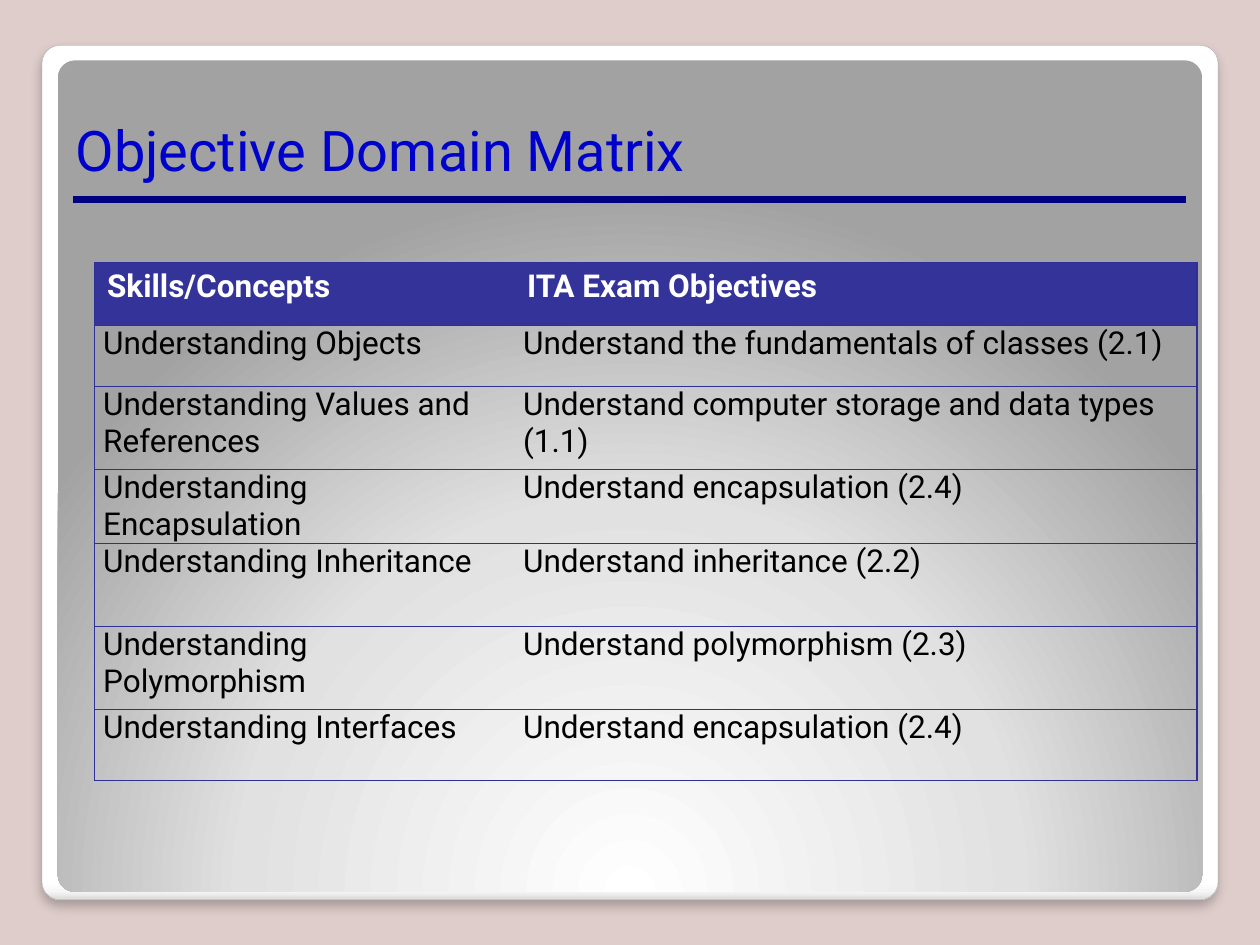
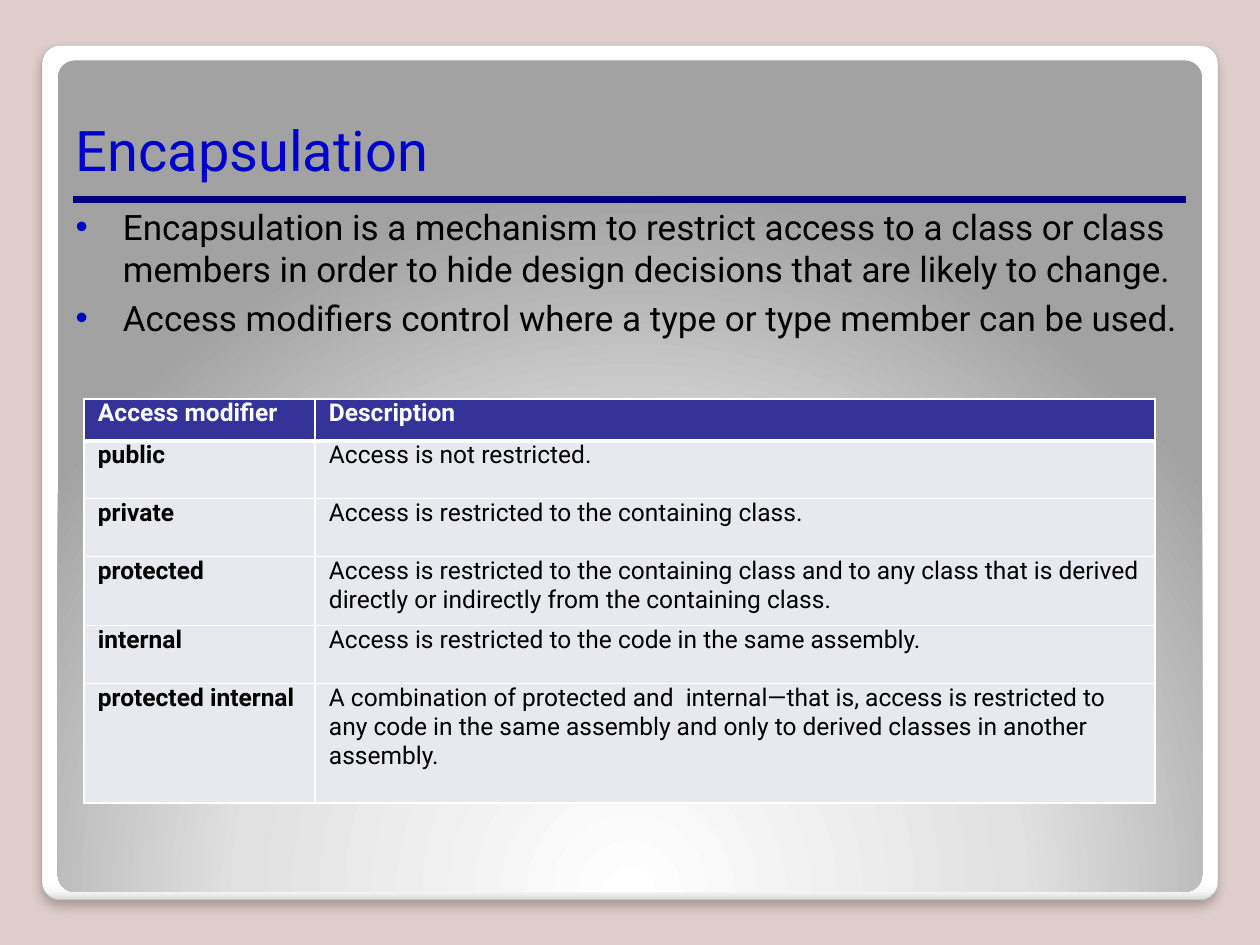
from lxml.etree import SubElement
from pptx import Presentation
from pptx.dml.color import RGBColor
from pptx.enum.shapes import MSO_CONNECTOR, MSO_SHAPE
from pptx.enum.text import MSO_ANCHOR, MSO_AUTO_SIZE, PP_ALIGN
from pptx.oxml import parse_xml
from pptx.oxml.ns import nsdecls, qn
from pptx.util import Pt

COLORS = {
    "background": "DECDCB",
    "frame_line": "A4A4A4",
    "title": "0000CC",
    "rule": "000080",
    "header": "333399",
    "grid": "2F2F98",
    "row": "E8E8EF",
    "white": "FFFFFF",
    "black": "000000",
}
FONT = "Roboto"
NO_STYLE = "{2D5ABB26-0587-4C30-8999-92F81FD0307C}"

FRAME_STOPS = [(0, "FFFFFF"), (98, "FFFFFF"), (99, "F7F7F7"), (100, "DADADA")]
PANEL_STOPS = [(0, "FFFFFF"), (55, "E1E1E1"), (100, "A2A2A2")]
DOWNWARD = '<a:lin ang="5400000" scaled="0"/>'
FROM_BELOW = ('<a:path path="circle"><a:fillToRect l="50000" t="175000" '
              'r="50000" b="-75000"/></a:path>')

OBJECTIVES = [
    ("Skills/Concepts", "ITA Exam Objectives"),
    ("Understanding Objects", "Understand the fundamentals of classes (2.1)"),
    ("Understanding Values and References", "Understand computer storage and data types (1.1)"),
    ("Understanding Encapsulation", "Understand encapsulation (2.4)"),
    ("Understanding Inheritance", "Understand inheritance (2.2)"),
    ("Understanding Polymorphism", "Understand polymorphism (2.3)"),
    ("Understanding Interfaces", "Understand encapsulation (2.4)"),
]
OBJECTIVE_HEIGHTS = [36, 34.8, 47.5, 39.6, 47.5, 47.5, 40.5]

ENCAPSULATION_POINTS = [
    "Encapsulation is a mechanism to restrict access to a class or class members "
    "in order to hide design decisions that are likely to change.",
    "Access modifiers control where a type or type member can be used.",
]
MODIFIERS = [
    ("Access modifier", "Description"),
    ("public", "Access is not restricted."),
    ("private", "Access is restricted to the containing class."),
    ("protected", "Access is restricted to the containing class and to any class that is "
                  "derived directly or indirectly from the containing class."),
    ("internal", "Access is restricted to the code in the same assembly."),
    ("protected internal", "A combination of protected and  internal—that is, access is "
                           "restricted to any code in the same assembly and only to derived "
                           "classes in another assembly."),
]
MODIFIER_HEIGHTS = [24, 33, 33, 39.6, 33, 68.4]


def color(name):
    return RGBColor.from_string(COLORS[name])


def write(paragraph, text, size, ink="black", bold=False, indent=0, before=None, after=None):
    run = paragraph.add_run()
    run.text = text
    run.font.name = FONT
    run.font.size = Pt(size)
    run.font.bold = bold
    run.font.color.rgb = color(ink)
    paragraph.alignment = PP_ALIGN.LEFT
    if before is not None:
        paragraph.space_before = Pt(before)
    if after is not None:
        paragraph.space_after = Pt(after)
    if indent:
        paragraph._p.get_or_add_pPr().set("marL", str(Pt(indent)))


def add_bullet(paragraph, hanging, ink):
    properties = paragraph._p.get_or_add_pPr()
    properties.set("marL", str(Pt(hanging)))
    properties.set("indent", str(-Pt(hanging)))
    bullet_color = SubElement(properties, qn("a:buClr"))
    SubElement(bullet_color, qn("a:srgbClr"), val=COLORS[ink])
    SubElement(properties, qn("a:buFont"), typeface="Arial")
    SubElement(properties, qn("a:buChar"), char="•")


def place(shape, left, top, width, height):
    shape.left, shape.top, shape.width, shape.height = map(Pt, (left, top, width, height))


def add_panel(slide, box, stops, direction):
    panel = slide.shapes.add_shape(MSO_SHAPE.ROUNDED_RECTANGLE, *map(Pt, box))
    panel.adjustments[0] = 0.021
    panel.line.fill.background()
    panel.shadow.inherit = False
    panel.fill.gradient()
    stop_xml = "".join(f'<a:gs pos="{position * 1000}"><a:srgbClr val="{value}"/></a:gs>'
                       for position, value in stops)
    gradient = panel.element.spPr.find(qn("a:gradFill"))
    gradient.getparent().replace(gradient, parse_xml(
        f'<a:gradFill {nsdecls("a")} rotWithShape="1"><a:gsLst>{stop_xml}</a:gsLst>'
        f'{direction}</a:gradFill>'))
    return panel


def build_master(presentation, slide):
    master = presentation.slide_master
    master.background.fill.solid()
    master.background.fill.fore_color.rgb = color("background")

    frame = add_panel(slide, (24, 25.9, 672, 488.2), FRAME_STOPS, DOWNWARD)
    frame.line.color.rgb = color("frame_line")
    frame.line.width = Pt(0.16)
    shadow = SubElement(frame.element.spPr.find(qn("a:effectLst")), qn("a:outerShdw"),
                        blurRad=str(Pt(6)), dist=str(Pt(4)), dir="5400000",
                        algn="t", rotWithShape="0")
    shade = SubElement(shadow, qn("a:srgbClr"), val=COLORS["black"])
    SubElement(shade, qn("a:alpha"), val="25000")

    panel = add_panel(slide, (33, 34.5, 654, 475.2), PANEL_STOPS, FROM_BELOW)

    rule = slide.shapes.add_connector(MSO_CONNECTOR.STRAIGHT, Pt(42), Pt(114), Pt(678), Pt(114))
    rule.line.color.rgb = color("rule")
    rule.line.width = Pt(4.5)
    SubElement(rule.element.spPr, qn("a:effectLst"))

    for position, shape in enumerate((frame, panel, rule)):
        shape.element.xpath(".//p:cNvPr")[0].set("id", str(100 + position))
        master.shapes.element.insert(2 + position, shape.element)


def set_title(slide, text):
    title = slide.shapes.title
    place(title, 36, 36, 648, 72)
    title.text_frame.auto_size = MSO_AUTO_SIZE.NONE
    title.text_frame.vertical_anchor = MSO_ANCHOR.BOTTOM
    write(title.text_frame.paragraphs[0], text, 32, ink="title")


def set_points(slide, points):
    body = slide.placeholders[1]
    place(body, 36, 114, 648, 396)
    frame = body.text_frame
    frame.auto_size = MSO_AUTO_SIZE.NONE
    for number, point in enumerate(points):
        paragraph = frame.add_paragraph() if number else frame.paragraphs[0]
        write(paragraph, point, 20)
        add_bullet(paragraph, 27, "title")


def set_borders(cell, borders):
    properties = cell._tc.get_or_add_tcPr()
    for side in "LRTB":
        if side in borders:
            ink, width = borders[side]
            line = SubElement(properties, qn(f"a:ln{side}"), w=str(Pt(width)))
            fill = SubElement(line, qn("a:solidFill"))
            SubElement(fill, qn("a:srgbClr"), val=COLORS[ink])


def add_plain_table(slide, left, top, widths, heights):
    shape = slide.shapes.add_table(len(heights), len(widths), Pt(left), Pt(top),
                                   Pt(sum(widths)), Pt(sum(heights)))
    table = shape.table
    table.first_row = table.horz_banding = False
    table._tbl.tblPr.find(qn("a:tableStyleId")).text = NO_STYLE
    for column, width in zip(table.columns, widths):
        column.width = Pt(width)
    for row, height in zip(table.rows, heights):
        row.height = Pt(height)
    return table


def fill_cell(cell, text, borders, fill, tight, **text_format):
    set_borders(cell, borders)
    if fill:
        cell.fill.solid()
        cell.fill.fore_color.rgb = color(fill)
    else:
        cell.fill.background()
    if tight:
        cell.margin_left = cell.margin_right = Pt(5)
        cell.margin_top = cell.margin_bottom = Pt(0)
    write(cell.text_frame.paragraphs[0], text, **text_format)


def add_objectives(slide):
    table = add_plain_table(slide, 54, 150, (240, 390), OBJECTIVE_HEIGHTS)
    line = ("grid", 0.75)
    for row, texts in enumerate(OBJECTIVES):
        header = row == 0
        for column, text in enumerate(texts):
            borders = {"R" if column else "L": line, "T": line, "B": line}
            fill_cell(table.cell(row, column), text, borders, "header" if header else None,
                      tight=not header, size=18, bold=header,
                      ink="white" if header else "black")


def add_modifiers(slide):
    table = add_plain_table(slide, 48, 228, (132, 480), MODIFIER_HEIGHTS)
    thin, thick = ("white", 1), ("white", 3)
    last = len(MODIFIERS) - 1
    for row, texts in enumerate(MODIFIERS):
        header = row == 0
        borders = {"L": thin, "R": thin, "T": thick if row == 1 else thin,
                   "B": thick if header else thin}
        spacing = {"before": 8} if header else {"after": 26 if row == last else 5}
        for column, text in enumerate(texts):
            fill_cell(table.cell(row, column), text, borders, "header" if header else "row",
                      tight=True, size=14, bold=header or column == 0,
                      ink="white" if header else "black", indent=3, **spacing)


def main():
    presentation = Presentation()
    presentation.slide_width, presentation.slide_height = Pt(720), Pt(540)
    layouts = presentation.slide_layouts

    matrix = presentation.slides.add_slide(layouts.get_by_name("Title Only"))
    build_master(presentation, matrix)
    set_title(matrix, "Objective Domain Matrix")
    add_objectives(matrix)

    encapsulation = presentation.slides.add_slide(layouts.get_by_name("Title and Content"))
    set_title(encapsulation, "Encapsulation")
    set_points(encapsulation, ENCAPSULATION_POINTS)
    add_modifiers(encapsulation)

    presentation.save("out.pptx")


if __name__ == "__main__":
    main()
